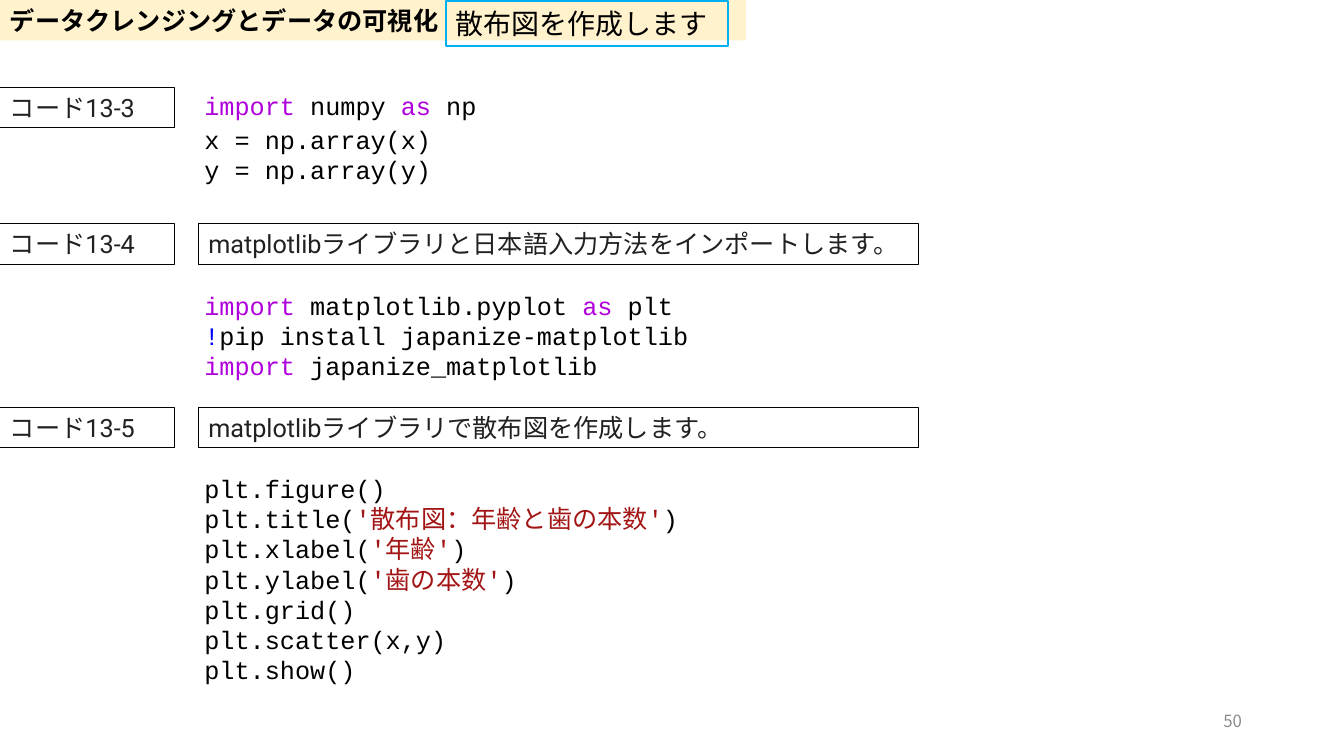
"""Build a slide with three code steps for drawing a scatter plot."""
from dataclasses import dataclass
from typing import Optional

from lxml import etree
from pptx import Presentation
from pptx.dml.color import RGBColor
from pptx.enum.shapes import MSO_SHAPE
from pptx.enum.text import MSO_ANCHOR, MSO_AUTO_SIZE, PP_ALIGN
from pptx.oxml.ns import qn
from pptx.util import Cm, Pt

RECTANGLE = MSO_SHAPE.RECTANGLE
TOP, MIDDLE = MSO_ANCHOR.TOP, MSO_ANCHOR.MIDDLE
GROW, FIXED = MSO_AUTO_SIZE.SHAPE_TO_FIT_TEXT, MSO_AUTO_SIZE.NONE
LEFT, RIGHT, JUSTIFY = PP_ALIGN.LEFT, PP_ALIGN.RIGHT, PP_ALIGN.JUSTIFY

BLACK = RGBColor(0x00, 0x00, 0x00)
DARK = RGBColor(0x21, 0x21, 0x21)
GRAY = RGBColor(0x8C, 0x8C, 0x8C)
CREAM = RGBColor(0xFF, 0xF2, 0xCC)
SKY = RGBColor(0x00, 0xB0, 0xF0)
KEYWORD = RGBColor(0xAF, 0x00, 0xDB)
SHELL = RGBColor(0x00, 0x00, 0xFF)
STRING = RGBColor(0xA3, 0x15, 0x15)

JAPANESE, LABEL, CODE = "Noto Sans CJK JP", "Roboto", "Courier New"
LABEL_LEFT, LABEL_WIDTH = 0, 4.4
NOTE_LEFT, NOTE_WIDTH = 5, 18.16
CODE_LEFT = 4.9
ROW_HEIGHT = 1.02


@dataclass(frozen=True)
class Span:
    text: str
    color: RGBColor = BLACK


@dataclass(frozen=True)
class Box:
    left: float
    top: float
    width: float
    height: float
    text: str
    font: str = LABEL
    size: float = 18
    color: RGBColor = DARK
    bold: bool = False
    fill: Optional[RGBColor] = None
    line: Optional[RGBColor] = BLACK
    line_width: float = 0.75


@dataclass(frozen=True)
class CodeBlock:
    top: float
    width: float
    height: float
    lines: tuple[tuple[Span, ...], ...]
    align: PP_ALIGN = JUSTIFY


def plain(*lines: str) -> tuple[tuple[Span, ...], ...]:
    """Turn lines of code into rows of one black span each."""
    return tuple((Span(line),) for line in lines)


def call(function: str, argument: str) -> tuple[Span, ...]:
    """Colour a plotting call that takes one quoted string."""
    return Span(f"plt.{function}("), Span(f"'{argument}'", STRING), Span(")")


BOXES = (
    Box(0, 0, 18.8, ROW_HEIGHT, "データクレンジングとデータの可視化",
        JAPANESE, color=BLACK, bold=True, fill=CREAM, line=None),
    Box(11.23, 0.03, 7.11, 1.12, "散布図を作成します",
        JAPANESE, 20, BLACK, line=SKY, line_width=1.5),
    Box(LABEL_LEFT, 2.2, LABEL_WIDTH, ROW_HEIGHT, "コード13-3"),
    Box(LABEL_LEFT, 5.64, LABEL_WIDTH, ROW_HEIGHT, "コード13-4"),
    Box(NOTE_LEFT, 5.64, NOTE_WIDTH, ROW_HEIGHT,
        "matplotlibライブラリと日本語入力方法をインポートします。"),
    Box(LABEL_LEFT, 10.26, LABEL_WIDTH, ROW_HEIGHT, "コード13-5"),
    Box(NOTE_LEFT, 10.26, NOTE_WIDTH, ROW_HEIGHT,
        "matplotlibライブラリで散布図を作成します。"),
)

CODE_BLOCKS = (
    CodeBlock(2.16, 8.07, ROW_HEIGHT, (
        (Span("import ", KEYWORD), Span("numpy "),
         Span("as", KEYWORD), Span(" np")),
    ), LEFT),
    CodeBlock(3, 8.07, 1.8, plain("x = np.array(x)", "y = np.array(y)"), LEFT),
    CodeBlock(7.18, 13.8, 2.57, (
        (Span("import ", KEYWORD), Span("matplotlib.pyplot "),
         Span("as ", KEYWORD), Span("plt")),
        (Span("!", SHELL), Span("pip install japanize-matplotlib")),
        (Span("import ", KEYWORD), Span("japanize_matplotlib")),
    )),
    CodeBlock(11.8, 13.8, 5.64, (
        *plain("plt.figure()"),
        call("title", "散布図：年齢と歯の本数"),
        call("xlabel", "年齢"),
        call("ylabel", "歯の本数"),
        *plain("plt.grid()", "plt.scatter(x,y)", "plt.show()"),
    )),
)


def set_frame(frame, anchor: MSO_ANCHOR, auto_size: MSO_AUTO_SIZE) -> None:
    """Set wrapping, anchoring and fitting of a text frame."""
    frame.word_wrap = True
    frame.vertical_anchor = anchor
    frame.auto_size = auto_size


def style_paragraph(paragraph, name: str, size: float, color: RGBColor,
                    align: PP_ALIGN, bold: bool = False) -> None:
    """Set the alignment and the Latin and Japanese fonts of a paragraph."""
    paragraph.alignment = align
    font = paragraph.font
    font.name = name
    font.size = Pt(size)
    font.bold = bold
    font.color.rgb = color
    latin = paragraph._p.pPr.find(qn("a:defRPr")).find(qn("a:latin"))
    east_asian = etree.Element(qn("a:ea"), typeface=JAPANESE)
    latin.addnext(east_asian)


def draw_box(slide, box: Box) -> None:
    """Draw a rectangle holding one line of text."""
    shape = slide.shapes.add_shape(
        RECTANGLE, Cm(box.left), Cm(box.top), Cm(box.width), Cm(box.height))
    shape.shadow.inherit = False
    if box.fill is None:
        shape.fill.background()
    else:
        shape.fill.solid()
        shape.fill.fore_color.rgb = box.fill
    if box.line is None:
        shape.line.fill.background()
    else:
        shape.line.color.rgb = box.line
        shape.line.width = Pt(box.line_width)
    set_frame(shape.text_frame, TOP, GROW)
    paragraph = shape.text_frame.paragraphs[0]
    paragraph.text = box.text
    style_paragraph(paragraph, box.font, box.size, box.color, LEFT, box.bold)


def draw_code(slide, block: CodeBlock) -> None:
    """Draw a text box with coloured lines of code."""
    shape = slide.shapes.add_textbox(
        Cm(CODE_LEFT), Cm(block.top), Cm(block.width), Cm(block.height))
    frame = shape.text_frame
    set_frame(frame, TOP, GROW)
    for index, line in enumerate(block.lines):
        paragraph = frame.add_paragraph() if index else frame.paragraphs[0]
        for span in line:
            run = paragraph.add_run()
            run.text = span.text
            if span.color != BLACK:
                run.font.color.rgb = span.color
        style_paragraph(paragraph, CODE, 18, BLACK, block.align)


def draw_page_number(slide, number: str) -> None:
    """Draw the page number at the lower right."""
    shape = slide.shapes.add_textbox(
        Cm(23.93), Cm(17.65), Cm(7.62), Cm(ROW_HEIGHT))
    set_frame(shape.text_frame, MIDDLE, FIXED)
    paragraph = shape.text_frame.paragraphs[0]
    paragraph.text = number
    style_paragraph(paragraph, JAPANESE, 12, GRAY, RIGHT)


def main() -> None:
    """Build and save the presentation."""
    presentation = Presentation()
    presentation.slide_width = Cm(33.87)
    presentation.slide_height = Cm(19.05)
    slide = presentation.slides.add_slide(presentation.slide_layouts[6])
    for box in BOXES:
        draw_box(slide, box)
    for block in CODE_BLOCKS:
        draw_code(slide, block)
    draw_page_number(slide, "50")
    presentation.save("out.pptx")


if __name__ == "__main__":
    main()
